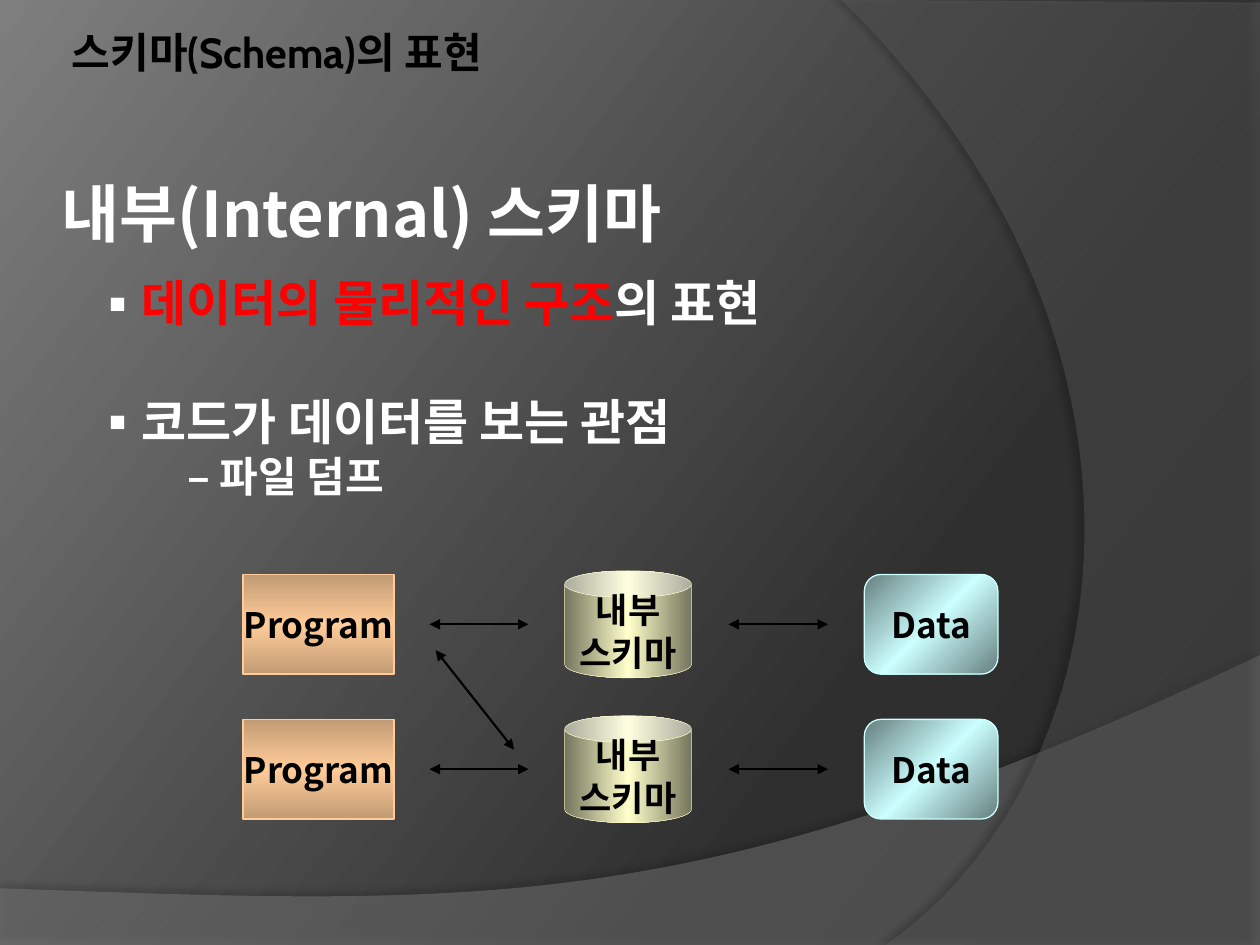
from lxml.etree import SubElement
from pptx import Presentation
from pptx.dml.color import RGBColor
from pptx.enum.shapes import MSO_CONNECTOR, MSO_SHAPE
from pptx.enum.text import MSO_ANCHOR, PP_ALIGN
from pptx.oxml.ns import qn
from pptx.util import Inches, Pt

WIDTH, HEIGHT = 10, 7.5
FONT = "Noto Sans CJK KR"
WHITE, BLACK, RED = "FFFFFF", "000000", "FF0000"
LINE_HEIGHT = 1.21
NODES = [
    dict(kind=MSO_SHAPE.RECTANGLE, left=0, width=0.2, height=0.93, lines=["Program"],
         edge="C29B74", glow="FFCC99", angle=90, weight=1, wrap=False),
    dict(kind=MSO_SHAPE.CAN, left=0.426, width=0.168, height=1, lines=["내부", "스키마"],
         edge="76765E", glow="FFFFCC", angle=0, weight=0.25, wrap=True),
    dict(kind=MSO_SHAPE.ROUNDED_RECTANGLE, left=0.823, width=0.177, height=0.93, lines=["Data"],
         edge="667F7F", glow="CCFFFF", angle=45, weight=0.75, wrap=True),
]
ARROW_SPANS = [(0.247, 0.378), (0.643, 0.775)]


def rgb(value):
    """Turn a hex string into a colour."""
    return RGBColor.from_string(value)


def add_tag(parent, tag, **attributes):
    """Append a drawing element with the given attributes."""
    return SubElement(parent, qn(tag), {k: str(v) for k, v in attributes.items()})


def add_colour(parent, value, alpha=100):
    """Append a colour with an opacity in percent."""
    add_tag(add_tag(parent, "a:srgbClr", val=value), "a:alpha", val=alpha * 1000)


def set_gradient(fill, element, stops, angle):
    """Fill with a linear gradient whose angle runs clockwise."""
    fill.gradient()
    fill.gradient_angle = -angle % 360
    stop_list = element.find(".//" + qn("a:gsLst"))
    for stop in list(stop_list):
        stop_list.remove(stop)
    for position, value in stops:
        add_colour(add_tag(stop_list, "a:gs", pos=position * 1000), value)


def write(p, runs, size, font=FONT, align=PP_ALIGN.LEFT, before=0):
    """Write bold runs of (text, colour) into a paragraph."""
    p.alignment, p.space_before, p.line_spacing = align, Pt(before), Pt(size * LINE_HEIGHT)
    for text, value in runs:
        r = p.add_run()
        r.text = text
        for name, setting in dict(name=font, size=Pt(size), bold=True).items():
            setattr(r.font, name, setting)
        r.font.color.rgb = rgb(value)
        add_tag(r.font._element, "a:ea", typeface=FONT)


def set_indent(p, margin, indent=0, bullet=None):
    """Set the indents in inches and an optional white bullet."""
    props = p._p.get_or_add_pPr()
    props.set("marL", str(Inches(margin)))
    props.set("indent", str(Inches(indent)))
    if bullet:
        add_colour(add_tag(props, "a:buClr"), WHITE)
        add_tag(props, "a:buFont", typeface=FONT)
        add_tag(props, "a:buChar", char=bullet)


def curve(p0, p1, p2, p3, steps=60):
    """Return points along a cubic curve."""
    ts = [i / steps for i in range(1, steps + 1)]
    return [tuple((1 - t) ** 3 * a + 3 * (1 - t) ** 2 * t * b + 3 * (1 - t) * t * t * c + t ** 3 * d
                  for a, b, c, d in zip(p0, p1, p2, p3)) for t in ts]


def add_sweep(s, points, value, alpha, shadow_alpha, distance, direction):
    """Draw a translucent curved panel with a soft shadow."""
    start, *rest = [(Inches(x), Inches(y)) for x, y in points]
    builder = s.shapes.build_freeform(*start)
    builder.add_line_segments(rest)
    sp = builder.convert_to_shape()
    sp.shadow.inherit = False
    sp.fill.solid()
    sp.fill.fore_color.rgb = rgb(value)
    props = sp.element.spPr
    add_tag(props.find(".//" + qn("a:srgbClr")), "a:alpha", val=alpha * 1000)
    sp.line.fill.background()
    add_colour(add_tag(props.find(qn("a:effectLst")), "a:outerShdw", blurRad=Pt(4),
                       dist=Pt(distance), dir=direction * 60000), BLACK, shadow_alpha)


def add_backdrop(s):
    """Draw the gradient background and its two sweeps."""
    fill = s.background.fill
    set_gradient(fill, s.element, [(0, "282828"), (30, "2F2F2F"), (100, "7E7E7E")], 217)
    floor = curve((WIDTH, 5.2), (5.59, 7.29), (3.91, 7.19), (0, 7.05))
    add_sweep(s, [(0, HEIGHT), (WIDTH, HEIGHT), (WIDTH, 5.2)] + floor, "7F7F7F", 45, 35, 3.5, 270)
    side = curve((7.03, HEIGHT), (8.91, 6.19), (9.47, 2.75), (6.68, 0))
    add_sweep(s, [(WIDTH, 0.02), (WIDTH, HEIGHT), (7.03, HEIGHT)] + side, "5E5E5E", 40, 45, 4, 180)


def add_title(s, box):
    """Place the slide title in front of the backdrop."""
    title = s.shapes.title
    title.element.getparent().append(title.element)
    for name, value in zip(("left", "top", "width", "height"), box):
        setattr(title, name, Inches(value))
    title.text_frame.vertical_anchor = MSO_ANCHOR.MIDDLE
    write(title.text_frame.paragraphs[0], [("스키마(Schema)의 표현", BLACK)], 24, "Cabin")


def add_text_frame(s, box):
    """Add a wrapping text box and return its frame."""
    tf = s.shapes.add_textbox(*map(Inches, box)).text_frame
    tf.word_wrap = True
    return tf


def add_body(s, left, top, width):
    """Write the heading and the bullet list below it."""
    heading = add_text_frame(s, (left, top, width, 0.86))
    write(heading.paragraphs[0], [("내부(Internal) 스키마", WHITE)], 36)
    tf = add_text_frame(s, (left, top + 0.78, width, 2.11))
    items = [
        ([("데이터의 물리적인 구조", RED), ("의 표현", WHITE)], 28, 0, (0.6, -0.35, "▪")),
        ([("코드가 데이터를 보는 관점", WHITE)], 28, 28 * LINE_HEIGHT, (0.6, -0.35, "▪")),
        ([("– 파일 덤프", WHITE)], 24, 0, (1,)),
    ]
    for i, (runs, size, before, indent) in enumerate(items):
        p = tf.add_paragraph() if i else tf.paragraphs[0]
        set_indent(p, *indent)
        write(p, runs, size, before=before)


def add_node(shapes, node, box):
    """Draw one labelled gradient node."""
    sp = shapes.add_shape(node["kind"], *map(Inches, box))
    sp.shadow.inherit = False
    stops = [(0, node["edge"]), (50, node["glow"]), (100, node["edge"])]
    set_gradient(sp.fill, sp.element, stops, node["angle"])
    sp.line.color.rgb = rgb(node["glow"])
    sp.line.width = Pt(node["weight"])
    tf = sp.text_frame
    tf.word_wrap, tf.vertical_anchor = node["wrap"], MSO_ANCHOR.MIDDLE
    for side in ("left", "top", "right", "bottom"):
        setattr(tf, f"margin_{side}", Inches(0.06))
    for i, text in enumerate(node["lines"]):
        p = tf.add_paragraph() if i else tf.paragraphs[0]
        write(p, [(text, BLACK)], 20, align=PP_ALIGN.CENTER)


def add_arrow(shapes, *ends):
    """Draw a line with an arrowhead at both ends."""
    line = shapes.add_connector(MSO_CONNECTOR.STRAIGHT, *map(Inches, ends))
    line.line.color.rgb = rgb(BLACK)
    line.line.width = Pt(1.25)
    for tag in ("a:headEnd", "a:tailEnd"):
        add_tag(line.line._get_or_add_ln(), tag, type="triangle")
    add_tag(line.element.spPr, "a:effectLst")


def add_diagram(s, left, top, width, height):
    """Draw two rows of nodes joined by arrows."""
    shapes = s.shapes.add_group_shape().shapes
    row_height, pitch = height * 0.425, height * 0.575
    for row in range(2):
        middle = top + row * pitch + row_height / 2
        for node in NODES:
            h = node["height"] * row_height
            add_node(shapes, node, (left + node["left"] * width, middle - h / 2,
                                    node["width"] * width, h))
        for start, end in ARROW_SPANS:
            add_arrow(shapes, left + start * width, middle, left + end * width, middle)
    add_arrow(shapes, left + 0.255 * width, top + 0.315 * height,
              left + 0.359 * width, top + 0.71 * height)


def main():
    """Build and save the slide."""
    prs = Presentation()
    prs.slide_width, prs.slide_height = Inches(WIDTH), Inches(HEIGHT)
    s = prs.slides.add_slide(prs.slide_layouts[5])
    add_backdrop(s)
    add_title(s, (0.47, 0.16, 8.94, 0.5))
    add_body(s, 0.39, 1.33, 9.3)
    add_diagram(s, 1.93, 4.53, 5.99, 2)
    prs.save("out.pptx")


if __name__ == "__main__":
    main()
